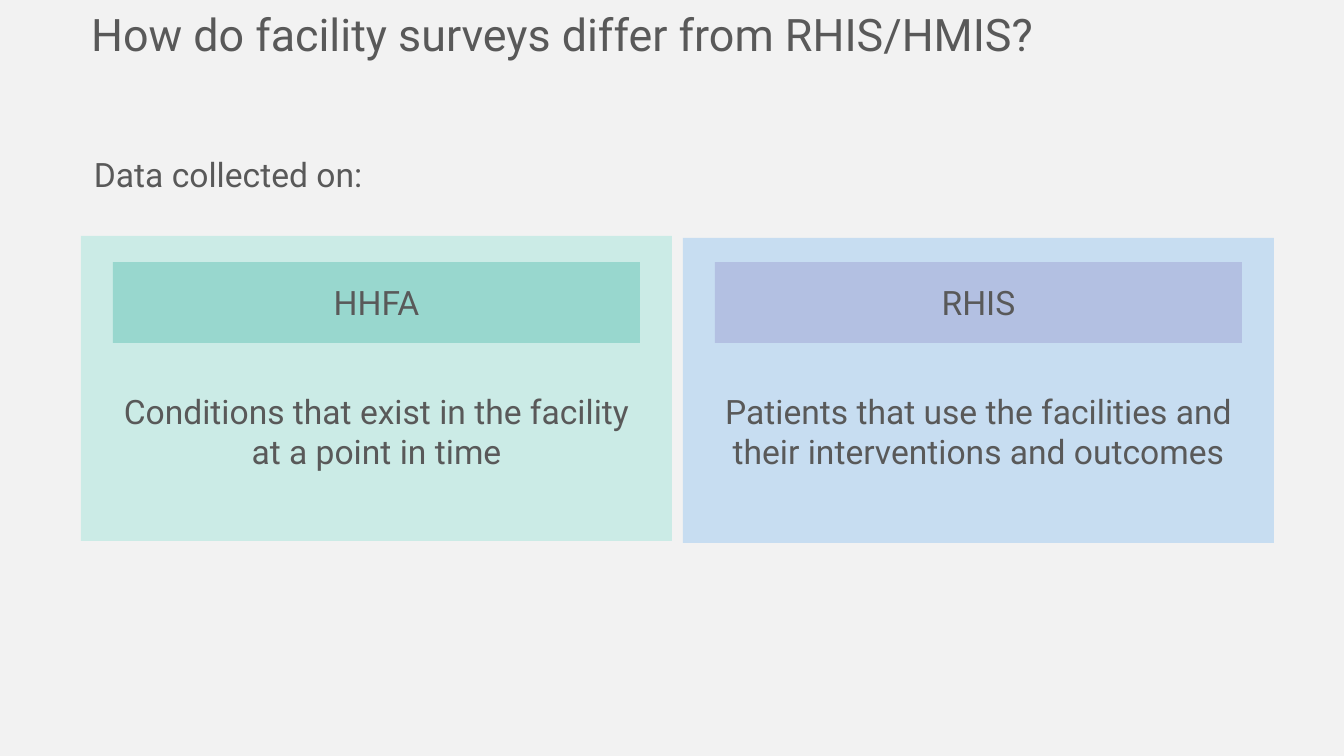
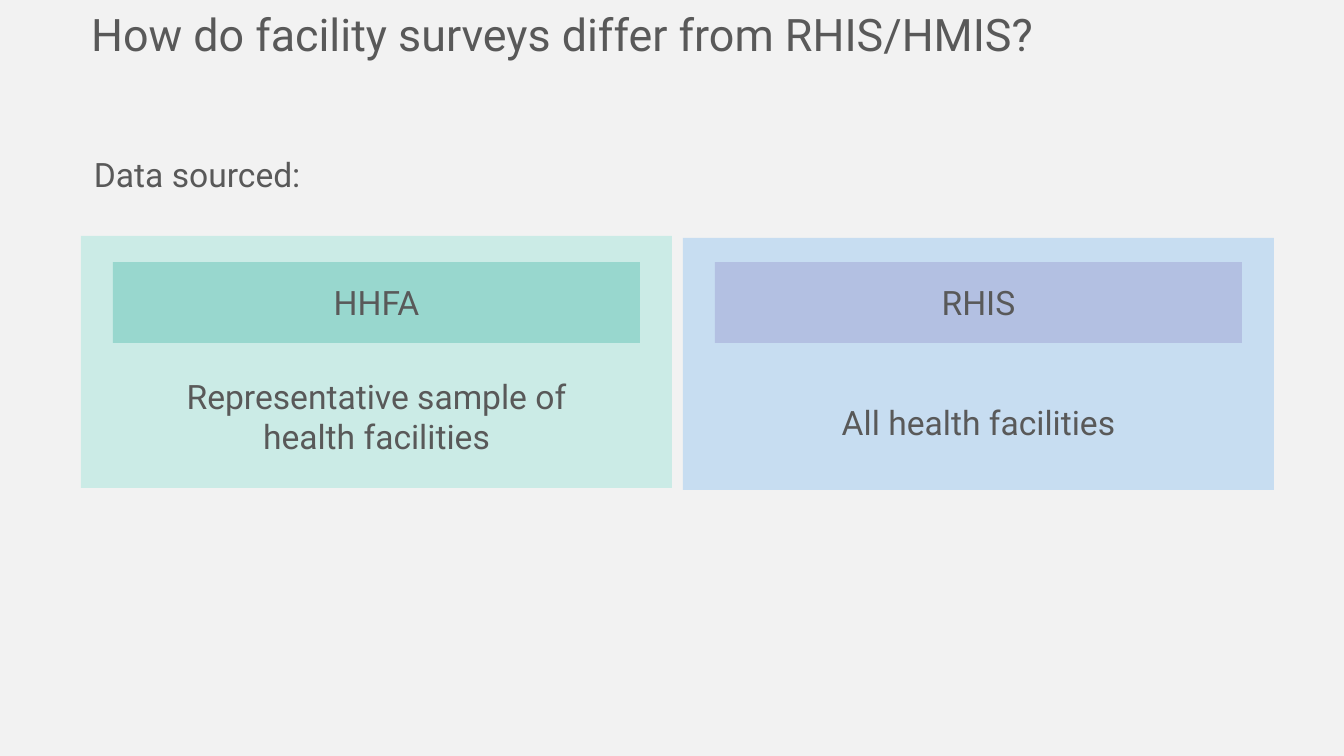
from dataclasses import dataclass

from pptx import Presentation
from pptx import util as u
from pptx.dml.color import RGBColor
from pptx.enum import shapes, text


@dataclass(frozen=True)
class Theme:
    font: str = "Roboto"
    background: str = "F2F2F2"
    ink: str = "595959"
    title_size: int = 32
    body_size: int = 24


THEME = Theme()
SLIDE_WIDTH, SLIDE_HEIGHT = 1344, 756
EMU_PER_PX = u.Inches(7.5) / SLIDE_HEIGHT

TITLE = "How do facility surveys differ from RHIS/HMIS?"
TITLE_BOX = (81, 2, 1031, 65)
LABEL_BOX = (84, 154, 1191, 47)

PANEL_WIDTH = 591
HEADER_TOP, HEADER_WIDTH, HEADER_HEIGHT = 262, 527, 81
PANELS = [
    {"name": "HHFA", "left": 81, "top": 236, "fill": "CBEBE6", "header": "98D7CE"},
    {"name": "RHIS", "left": 683, "top": 238, "fill": "C7DDF1", "header": "B3C0E2"},
]

# Each answer is its text, top and height, in the order of PANELS.
SLIDES = [
    {
        "label": "Data collected on:",
        "panel_height": 305,
        "answer_width": 527,
        "answers": [
            ("Conditions that exist in the facility at a point in time", 386, 92),
            ("Patients that use the facilities and their interventions and outcomes", 386, 92),
        ],
    },
    {
        "label": "Data sourced:",
        "panel_height": 252,
        "answer_width": 411,
        "answers": [
            ("Representative sample of health facilities", 371, 92),
            ("All health facilities", 397, 50),
        ],
    },
]


def px(*lengths):
    return [u.Emu(round(length * EMU_PER_PX)) for length in lengths]


def write(shape, words, size=THEME.body_size, align=text.PP_ALIGN.LEFT,
          anchor=text.MSO_ANCHOR.TOP, line_spacing=1.0):
    frame = shape.text_frame
    frame.word_wrap = True
    frame.auto_size = text.MSO_AUTO_SIZE.NONE
    frame.vertical_anchor = anchor
    paragraph = frame.paragraphs[0]
    paragraph.alignment = align
    paragraph.line_spacing = line_spacing
    run = paragraph.add_run()
    run.text = words
    run.font.name = THEME.font
    run.font.size = u.Pt(size)
    run.font.color.rgb = RGBColor.from_string(THEME.ink)


def add_rectangle(slide, box, fill):
    shape = slide.shapes.add_shape(shapes.MSO_SHAPE.RECTANGLE, *px(*box))
    shape.shadow.inherit = False
    shape.fill.solid()
    shape.fill.fore_color.rgb = RGBColor.from_string(fill)
    shape.line.fill.background()
    return shape


def add_text(slide, box, words, **style):
    write(slide.shapes.add_textbox(*px(*box)), words, **style)


def add_panel(slide, panel, height, answer, answer_width):
    def centred(width):
        return panel["left"] + (PANEL_WIDTH - width) / 2

    add_rectangle(slide, (panel["left"], panel["top"], PANEL_WIDTH, height), panel["fill"])
    header = add_rectangle(
        slide, (centred(HEADER_WIDTH), HEADER_TOP, HEADER_WIDTH, HEADER_HEIGHT), panel["header"])
    write(header, panel["name"], align=text.PP_ALIGN.CENTER, anchor=text.MSO_ANCHOR.MIDDLE)
    words, top, answer_height = answer
    add_text(slide, (centred(answer_width), top, answer_width, answer_height), words,
             align=text.PP_ALIGN.CENTER)


def add_comparison(presentation, content):
    slide = presentation.slides.add_slide(presentation.slide_layouts[5])
    title = slide.shapes.title
    title.left, title.top, title.width, title.height = px(*TITLE_BOX)
    write(title, TITLE, size=THEME.title_size)
    add_text(slide, LABEL_BOX, content["label"], line_spacing=0.9)
    for panel, answer in zip(PANELS, content["answers"]):
        add_panel(slide, panel, content["panel_height"], answer, content["answer_width"])


def main():
    presentation = Presentation()
    presentation.slide_width, presentation.slide_height = px(SLIDE_WIDTH, SLIDE_HEIGHT)
    background = presentation.slide_master.background.fill
    background.solid()
    background.fore_color.rgb = RGBColor.from_string(THEME.background)
    for content in SLIDES:
        add_comparison(presentation, content)
    presentation.save("out.pptx")


if __name__ == "__main__":
    main()
